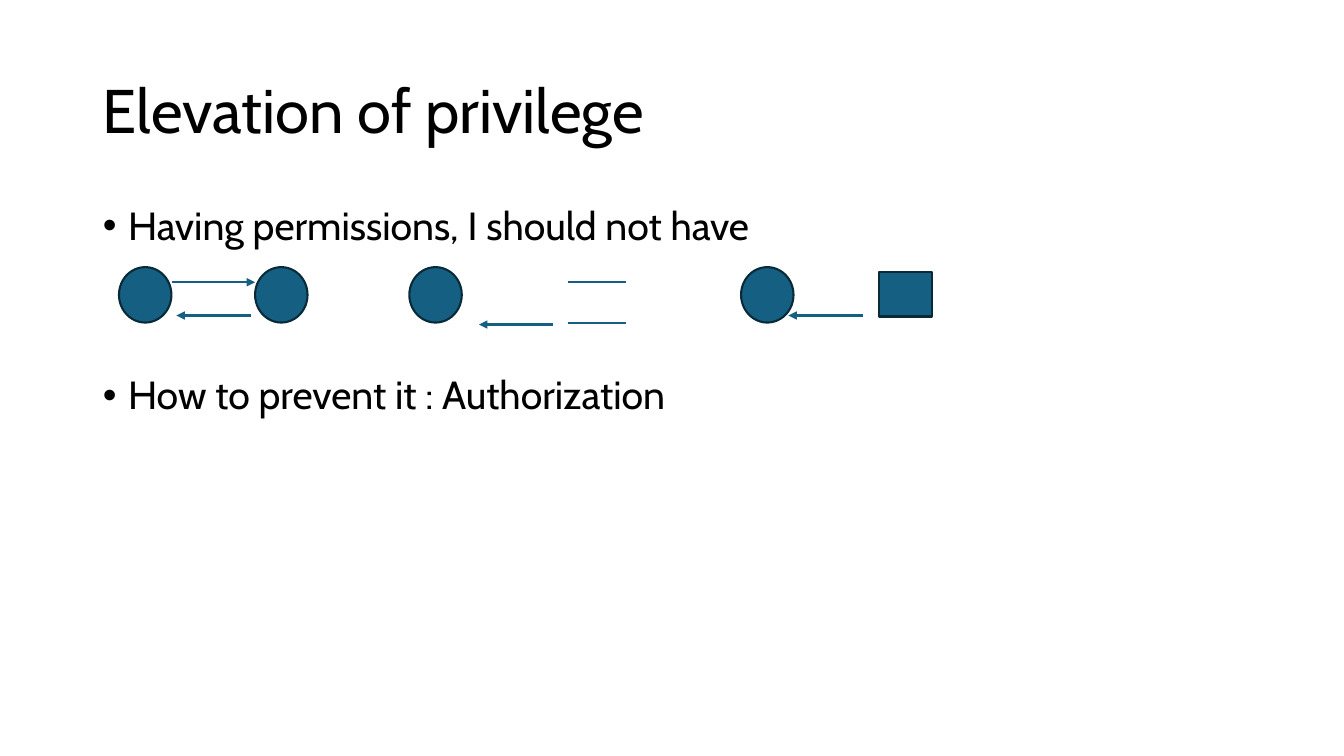
from lxml import etree
from pptx import Presentation
from pptx.dml.color import RGBColor
from pptx.enum.shapes import MSO_CONNECTOR, MSO_SHAPE
from pptx.enum.text import MSO_ANCHOR, MSO_AUTO_SIZE, PP_ALIGN
from pptx.oxml.ns import qn
from pptx.util import Inches, Pt

STRAIGHT = MSO_CONNECTOR.STRAIGHT
OVAL, RECTANGLE = MSO_SHAPE.OVAL, MSO_SHAPE.RECTANGLE
MIDDLE, TOP = MSO_ANCHOR.MIDDLE, MSO_ANCHOR.TOP
LEFT = PP_ALIGN.LEFT
NO_AUTOFIT = MSO_AUTO_SIZE.NONE

FONT, BLACK, TEAL, DARK_TEAL = "Cabin", "000000", "156082", "092A39"
MARGIN, TEXT_WIDTH = 0.92, 11.5
NODE_WIDTH = 0.52
UPPER, LOWER = 2.8, 3.13


def paint(color_format, hex_color):
    color_format.rgb = RGBColor.from_string(hex_color)


def write(paragraph, text, size):
    paragraph.alignment = LEFT
    paragraph.line_spacing = 0.9
    run = paragraph.add_run()
    run.text = text
    run.font.name = FONT
    run.font.size = Pt(size)
    paint(run.font.color, BLACK)


deck = Presentation()
deck.slide_width, deck.slide_height = Inches(13.33), Inches(7.5)
slide = deck.slides.add_slide(deck.slide_layouts[1])
title, bullets = slide.placeholders

# Title and body areas
for area, top, height, anchor in ((title, 0.4, 1.45, MIDDLE), (bullets, 2, 4.76, TOP)):
    area.left, area.top = Inches(MARGIN), Inches(top)
    area.width, area.height = Inches(TEXT_WIDTH), Inches(height)
    area.text_frame.auto_size = NO_AUTOFIT
    area.text_frame.vertical_anchor = anchor
write(title.text_frame.paragraphs[0], "Elevation of privilege", 44)

# Bullets, spaced apart to leave room for the diagrams
statements = (("Having permissions, I should not have", 0),
              ("How to prevent it : Authorization", 90.5))
for index, (statement, space_before) in enumerate(statements):
    body = bullets.text_frame
    paragraph = body.add_paragraph() if index else body.paragraphs[0]
    properties = paragraph._p.get_or_add_pPr()
    properties.set("marL", str(Inches(0.25)))
    properties.set("indent", str(-Inches(0.25)))
    etree.SubElement(properties, qn("a:buFont"), typeface="Arial")
    etree.SubElement(properties, qn("a:buChar"), char="•")
    paragraph.space_before = Pt(space_before)
    write(paragraph, statement, 28)

# Processes (circles) and external entity (rectangle)
nodes = [(OVAL, left, 2.65, 0.55) for left in (1.18, 2.53, 4.06, 7.35)]
nodes.append((RECTANGLE, 8.72, 2.7, 0.44))
for outline, left, top, height in nodes:
    node = slide.shapes.add_shape(outline, Inches(left), Inches(top),
                                  Inches(NODE_WIDTH), Inches(height))
    node.shadow.inherit = False
    node.fill.solid()
    paint(node.fill.fore_color, TEAL)
    paint(node.line.color, DARK_TEAL)
    node.line.width = Pt(1.5)

# Data store (two plain lines) and data flows (arrows)
flows = (
    (5.63, 6.21, UPPER, False),
    (5.63, 6.21, 3.2, False),
    (1.71, 2.53, UPPER, True),
    (2.49, 1.75, LOWER, True),
    (5.48, 4.75, 3.22, True),
    (8.56, 7.82, LOWER, True),
)
for start, end, level, has_arrow in flows:
    flow = slide.shapes.add_connector(STRAIGHT, Inches(start), Inches(level),
                                      Inches(end), Inches(level))
    paint(flow.line.color, TEAL)
    flow.line.width = Pt(1.5)
    if has_arrow:
        etree.SubElement(flow.line._get_or_add_ln(), qn("a:tailEnd"), type="triangle")
    etree.SubElement(flow._element.spPr, qn("a:effectLst"))

deck.save("out.pptx")
